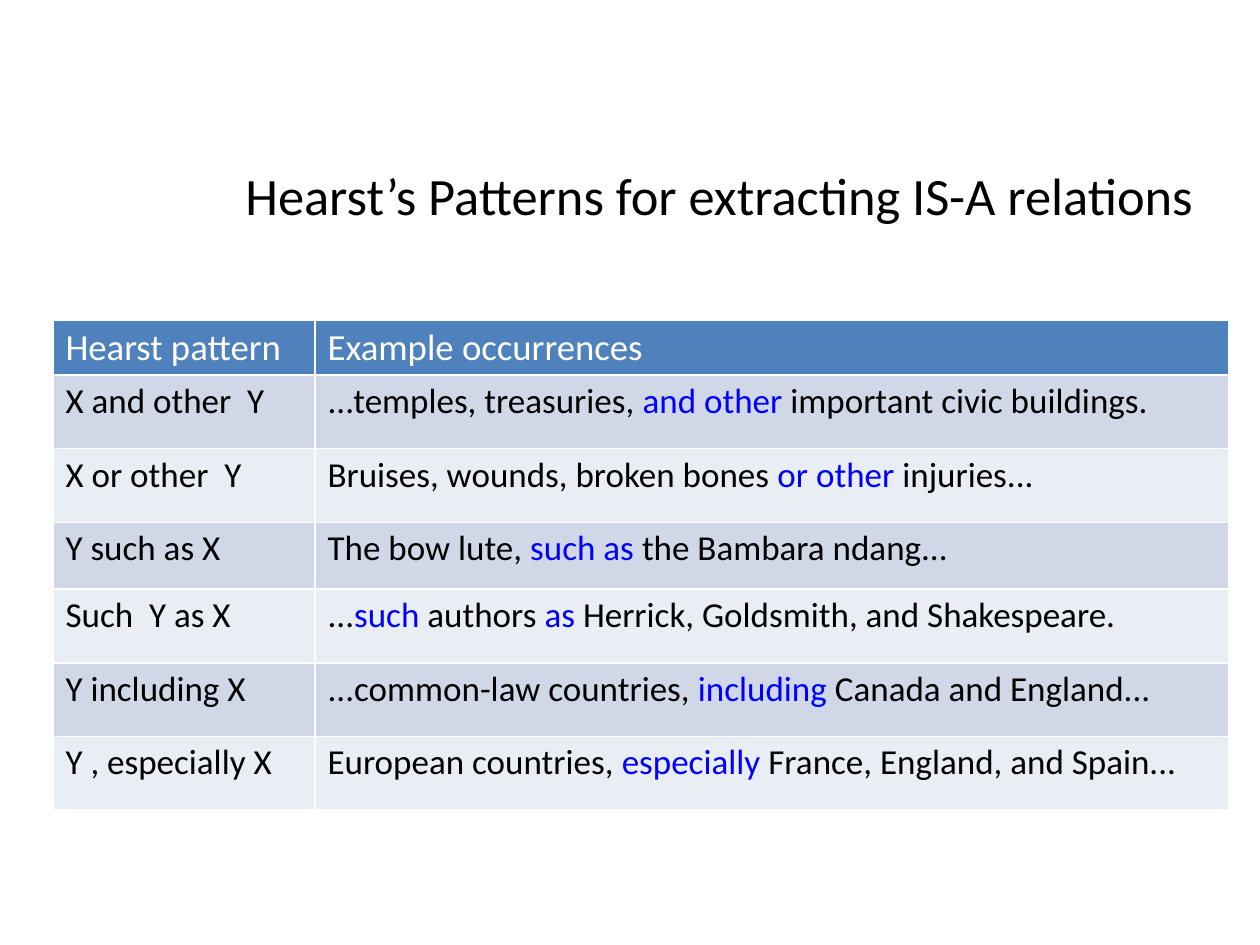
from dataclasses import dataclass

from lxml import etree
from pptx import Presentation
from pptx import util as u
from pptx.dml.color import RGBColor
from pptx.enum import text
from pptx.oxml.ns import qn

BLACK = RGBColor(0x00, 0x00, 0x00)
WHITE = RGBColor(0xFF, 0xFF, 0xFF)
HIGHLIGHT = RGBColor(0x00, 0x00, 0xFF)
HEADER_FILL = RGBColor(0x4F, 0x81, 0xBD)
BAND_FILLS = (RGBColor(0xD0, 0xD8, 0xE8), RGBColor(0xE9, 0xED, 0xF4))

FONT = "Calibri"
SLIDE_WIDTH, SLIDE_HEIGHT = u.Inches(10), u.Inches(7.5)
TITLE_FRAME = {"left": u.Inches(1.5), "top": u.Inches(1.17),
               "width": u.Inches(8.42), "height": u.Inches(0.75)}
TABLE_LEFT, TABLE_TOP = u.Inches(0.42), u.Inches(2.54)
COLUMN_WIDTHS = (u.Inches(2.08), u.Inches(7.25))
HEADER_HEIGHT, ROW_HEIGHT, SHORT_ROW_HEIGHT = u.Inches(0.43), u.Inches(0.585), u.Inches(0.53)
CELL_FORMAT = {"margin_left": u.Inches(0.1), "margin_right": u.Inches(0.1),
               "margin_top": u.Inches(0.04), "margin_bottom": u.Inches(0.04)}


@dataclass(frozen=True)
class PatternRow:
    pattern: str
    example: tuple[str, ...]
    height: int = ROW_HEIGHT


HEADER = PatternRow("Hearst pattern", ("Example occurrences",), HEADER_HEIGHT)
PATTERNS = (
    PatternRow("X and other  Y",
               ("...temples, treasuries, ", "and other ", "important civic buildings.")),
    PatternRow("X or other  Y",
               ("Bruises, wounds, broken bones ", "or other ", "injuries...")),
    PatternRow("Y such as X",
               ("The bow lute, ", "such as ", "the Bambara ndang..."), SHORT_ROW_HEIGHT),
    PatternRow("Such  Y as X",
               ("...", "such", " authors ", "as", " Herrick, Goldsmith, and Shakespeare.")),
    PatternRow("Y including X",
               ("...common-law countries, ", "including", " Canada and England...")),
    PatternRow("Y , especially X",
               ("European countries, ", "especially", " France, England, and Spain...")),
)


def set_attributes(target, values: dict) -> None:
    for name, value in values.items():
        setattr(target, name, value)


def write_runs(paragraph, parts: tuple[str, ...], size: float, color: RGBColor) -> None:
    for index, part in enumerate(parts):
        run = paragraph.add_run()
        run.text = part
        set_attributes(run.font, {"name": FONT, "size": u.Pt(size), "bold": False})
        run.font.color.rgb = HIGHLIGHT if index % 2 else color


def add_borders(cell) -> None:
    properties = cell._tc.get_or_add_tcPr()
    for side in ("a:lnL", "a:lnR", "a:lnT", "a:lnB"):
        line = etree.SubElement(properties, qn(side), w=str(u.Pt(1)))
        fill = etree.SubElement(line, qn("a:solidFill"))
        etree.SubElement(fill, qn("a:srgbClr"), val=str(WHITE))


def fill_cell(cell, parts: tuple[str, ...], size: float, color: RGBColor, fill: RGBColor) -> None:
    set_attributes(cell, CELL_FORMAT)
    add_borders(cell)
    cell.fill.solid()
    cell.fill.fore_color.rgb = fill
    write_runs(cell.text_frame.paragraphs[0], parts, size, color)


def add_title(slide) -> None:
    title = slide.shapes.title
    set_attributes(title, TITLE_FRAME)
    set_attributes(title.text_frame, {"vertical_anchor": text.MSO_ANCHOR.MIDDLE,
                                      "auto_size": text.MSO_AUTO_SIZE.NONE,
                                      "word_wrap": True})
    paragraph = title.text_frame.paragraphs[0]
    paragraph.alignment = text.PP_ALIGN.CENTER
    write_runs(paragraph, ("Hearst’s Patterns for extracting IS-A relations",), 30, BLACK)


def add_pattern_table(slide) -> None:
    rows = (HEADER, *PATTERNS)
    table = slide.shapes.add_table(
        len(rows), len(COLUMN_WIDTHS), TABLE_LEFT, TABLE_TOP,
        sum(COLUMN_WIDTHS), sum(row.height for row in rows)).table
    for column, width in zip(table.columns, COLUMN_WIDTHS):
        column.width = width
    for index, row in enumerate(rows):
        table.rows[index].height = row.height
        if row is HEADER:
            style = (21, WHITE, HEADER_FILL)
        else:
            style = (20, BLACK, BAND_FILLS[(index - 1) % 2])
        for column, parts in enumerate(((row.pattern,), row.example)):
            fill_cell(table.cell(index, column), parts, *style)


def main() -> None:
    presentation = Presentation()
    set_attributes(presentation, {"slide_width": SLIDE_WIDTH, "slide_height": SLIDE_HEIGHT})
    slide = presentation.slides.add_slide(presentation.slide_layouts.get_by_name("Title Only"))
    add_title(slide)
    add_pattern_table(slide)
    presentation.save("out.pptx")


if __name__ == "__main__":
    main()
